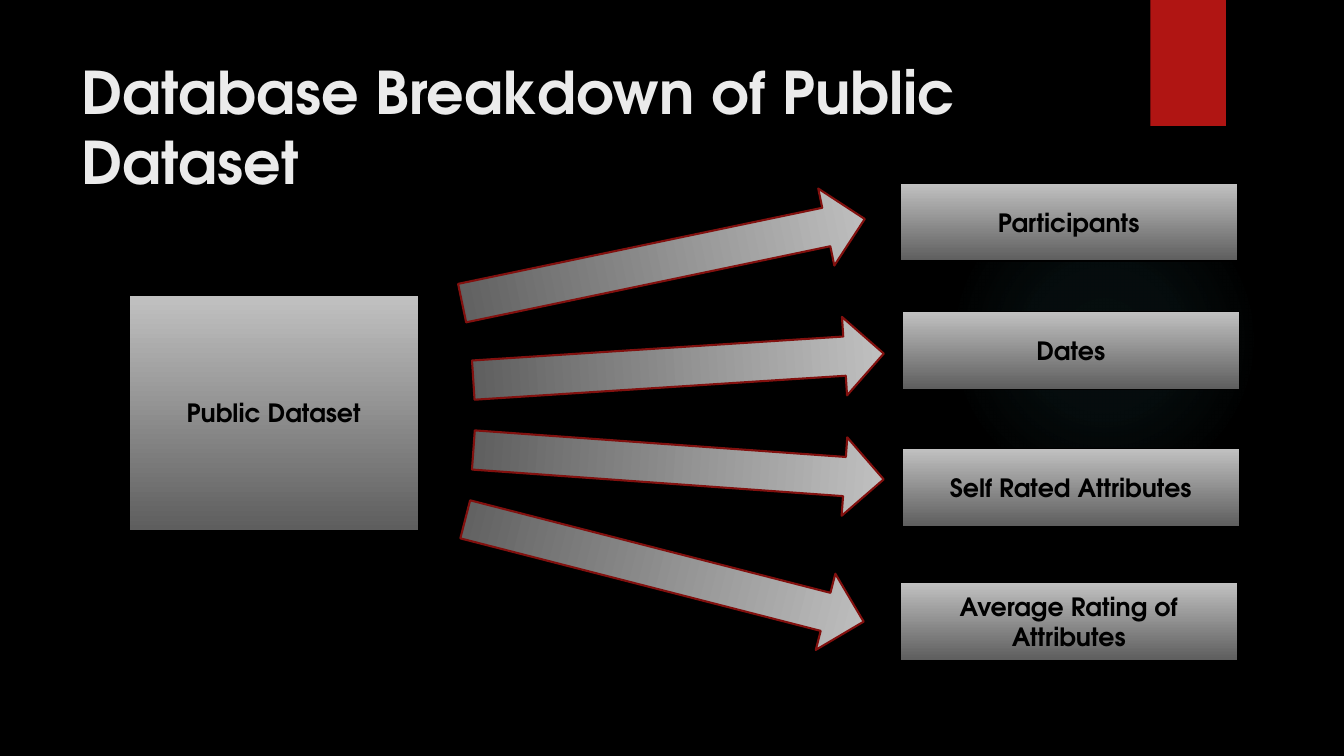
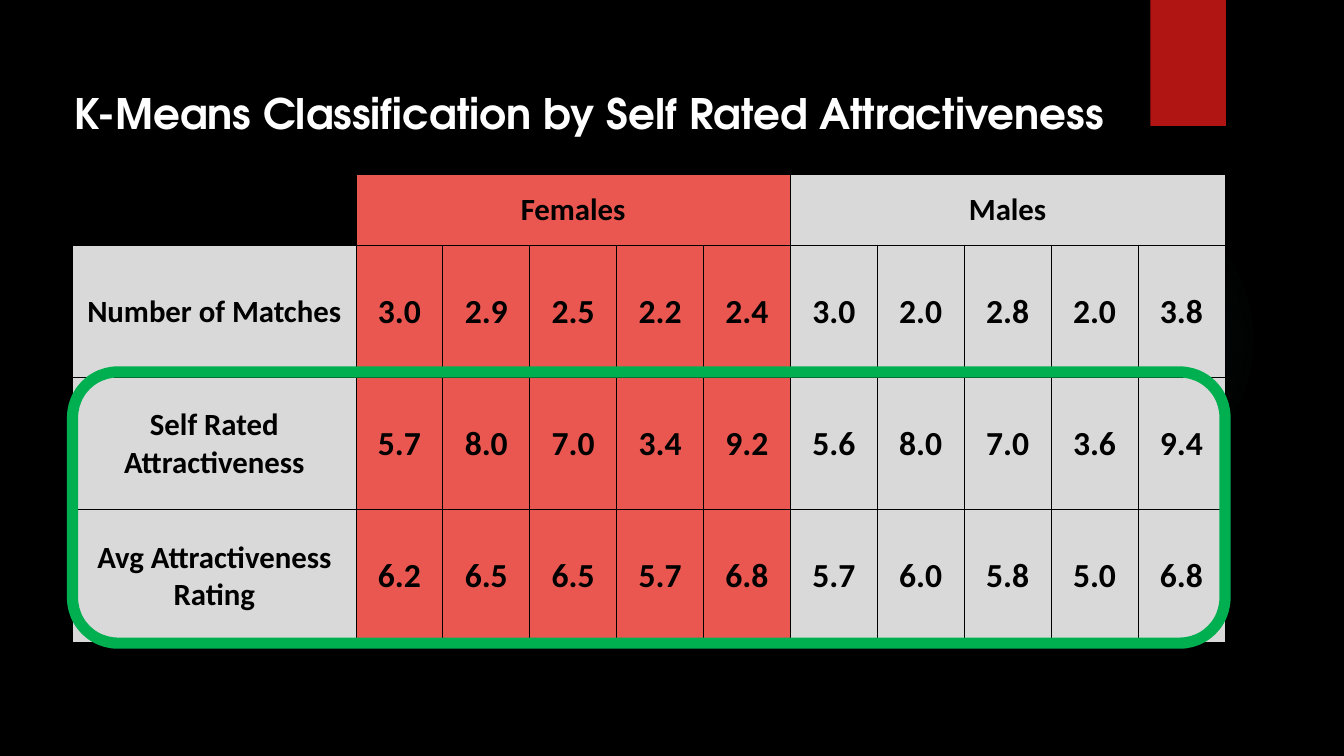
from lxml import etree
from pptx import Presentation
from pptx.dml.color import RGBColor
from pptx.enum.shapes import MSO_SHAPE as Shape
from pptx.enum.text import MSO_ANCHOR as Anchor, MSO_AUTO_SIZE as AutoSize, PP_ALIGN as Align
from pptx.oxml import parse_xml
from pptx.oxml.ns import nsdecls, qn
from pptx.util import Inches, Pt

COLORS = {
    "black": "000000", "white": "FFFFFF", "title": "EBEBEB", "band": "B01513",
    "glow": "50B9C1", "silver": "C1C1C1", "slate": "5E5E5E", "arrow_edge": "82100E",
    "female": "EA5750", "male": "D9D9D9", "highlight": "00B050",
}
HEADING_FONT, TABLE_FONT = "TeX Gyre Adventor", "Calibri"

BRANCHES = [  # label, box left and top, arrow left and top, arrow rotation
    ("Participants", 8.93, 1.82, 4.54, 2.2, -11.8),
    ("Dates", 8.95, 3.09, 4.69, 3.25, -3.7),
    ("Self Rated Attributes", 8.95, 4.45, 4.69, 4.22, 4.1),
    ("Average Rating of Attributes", 8.93, 5.78, 4.55, 5.27, 14.4),
]
GROUPS = [("Females", "female"), ("Males", "male")]
CLUSTERS = 5
RATINGS = [
    ("Number of Matches", "3.0 2.9 2.5 2.2 2.4 3.0 2.0 2.8 2.0 3.8"),
    ("Self Rated Attractiveness", "5.7 8.0 7.0 3.4 9.2 5.6 8.0 7.0 3.6 9.4"),
    ("Avg Attractiveness Rating", "6.2 6.5 6.5 5.7 6.8 5.7 6.0 5.8 5.0 6.8"),
]


def rgb(name):
    return RGBColor.from_string(COLORS[name])


def style_text(frame, size, color="black", font=HEADING_FONT, align=Align.CENTER):
    for paragraph in frame.paragraphs:
        paragraph.alignment = align
        for run in paragraph.runs:
            run.font.size, run.font.bold, run.font.name = Pt(size), True, font
            run.font.color.rgb = rgb(color)


def add_figure(slide, kind, box, edge=None, weight=0.75):
    figure = slide.shapes.add_shape(kind, *map(Inches, box))
    figure.shadow.inherit = False
    if edge:
        figure.line.color.rgb = rgb(edge)
        figure.line.width = Pt(weight)
    else:
        figure.line.fill.background()
    return figure


def shade(figure, angle):
    """Fill from silver to slate; the angle runs counter-clockwise."""
    figure.fill.gradient()
    figure.fill.gradient_angle = angle
    for stop, color in zip(figure.fill.gradient_stops, ("silver", "slate")):
        stop.color.rgb = rgb(color)


def add_label_box(slide, text, box):
    label_box = add_figure(slide, Shape.RECTANGLE, box, "black")
    shade(label_box, 270)
    frame = label_box.text_frame
    frame.text = text
    frame.word_wrap = True
    frame.vertical_anchor = Anchor.MIDDLE
    style_text(frame, 18)


def add_arrow(slide, left, top, rotation):
    arrow = add_figure(slide, Shape.RIGHT_ARROW, (left, top, 4.08, 0.78), "arrow_edge", 1.5)
    shade(arrow, 180)
    arrow.rotation = rotation


def add_glow(slide):
    glow = add_figure(slide, Shape.OVAL, (9.41, 1.83, 3.08, 3.08))
    glow.fill.background()
    stops = "".join(
        f'<a:gs pos="{position * 1000}"><a:srgbClr val="{COLORS["glow"]}">'
        f'<a:alpha val="{alpha * 1000}"/></a:srgbClr></a:gs>'
        for position, alpha in ((0, 7), (36, 6), (69, 0)))
    gradient = parse_xml(
        f'<a:gradFill {nsdecls("a")}><a:gsLst>{stops}</a:gsLst><a:path path="circle">'
        '<a:fillToRect l="50000" t="50000" r="50000" b="50000"/></a:path></a:gradFill>')
    properties = glow.element.spPr
    properties.replace(properties.find(qn("a:noFill")), gradient)


def add_titled_slide(deck, text, box, size, color):
    slide = deck.slides.add_slide(deck.slide_layouts[5])
    add_glow(slide)
    band = add_figure(slide, Shape.RECTANGLE, (11.41, 0, 0.75, 1.25))
    band.fill.solid()
    band.fill.fore_color.rgb = rgb("band")
    title = slide.shapes.title
    title.left, title.top, title.width, title.height = map(Inches, box)
    frame = title.text_frame
    frame.text = text
    frame.word_wrap = True
    frame.auto_size = AutoSize.NONE
    frame.vertical_anchor = Anchor.TOP
    style_text(frame, size, color, align=Align.LEFT)
    return slide


def add_borders(cell):
    properties = cell._tc.get_or_add_tcPr()
    for index, side in enumerate("LRTB"):
        border = etree.Element(qn(f"a:ln{side}"), w=str(Pt(0.5)))
        fill = etree.SubElement(border, qn("a:solidFill"))
        etree.SubElement(fill, qn("a:srgbClr"), val=COLORS["black"])
        properties.insert(index, border)


def fill_cell(cell, text, size, color):
    cell.text = text
    cell.vertical_anchor = Anchor.MIDDLE
    cell.margin_left = cell.margin_right = cell.margin_top = Inches(0.01)
    cell.margin_bottom = 0
    cell.fill.solid()
    cell.fill.fore_color.rgb = rgb(color)
    style_text(cell.text_frame, size, font=TABLE_FONT)


def add_ratings_table(slide):
    columns = 1 + CLUSTERS * len(GROUPS)
    box = map(Inches, (0.72, 1.73, 11.43, 4.64))
    table = slide.shapes.add_table(1 + len(RATINGS), columns, *box).table
    table.first_row = table.horz_banding = False
    for index, column in enumerate(table.columns):
        column.width = Inches((11.43 - 2.81) / (columns - 1) if index else 2.81)
    for index, row in enumerate(table.rows):
        row.height = Inches((4.64 - 0.7) / len(RATINGS) if index else 0.7)

    table.cell(0, 0).fill.background()
    for index, (group, color) in enumerate(GROUPS):
        first = 1 + index * CLUSTERS
        table.cell(0, first).merge(table.cell(0, first + CLUSTERS - 1))
        fill_cell(table.cell(0, first), group, 22, color)
    for row, (measure, values) in enumerate(RATINGS, 1):
        fill_cell(table.cell(row, 0), measure, 22, "male")
        for column, value in enumerate(values.split()):
            fill_cell(table.cell(row, column + 1), value, 24, GROUPS[column // CLUSTERS][1])
    for cell in table.iter_cells():
        add_borders(cell)


def add_breakdown_slide(deck):
    slide = add_titled_slide(deck, "Database Breakdown of Public Dataset",
                             (0.71, 0.5, 10.29, 1.45), 42, "title")
    add_label_box(slide, "Public Dataset", (1.28, 2.93, 2.87, 2.33))
    for label, box_left, box_top, arrow_left, arrow_top, rotation in BRANCHES:
        add_arrow(slide, arrow_left, arrow_top, rotation)
        add_label_box(slide, label, (box_left, box_top, 3.34, 0.77))


def add_classification_slide(deck):
    slide = add_titled_slide(deck, "K-Means Classification by Self Rated Attractiveness",
                             (0.64, 0.82, 10.49, 0.61), 30, "white")
    add_ratings_table(slide)
    highlight = add_figure(slide, Shape.ROUNDED_RECTANGLE, (0.72, 3.69, 11.43, 2.69),
                           "highlight", 8)
    highlight.fill.background()


def main():
    deck = Presentation()
    deck.slide_width, deck.slide_height = Inches(13.33), Inches(7.5)
    background = deck.slide_master.background.fill
    background.solid()
    background.fore_color.rgb = rgb("black")
    add_breakdown_slide(deck)
    add_classification_slide(deck)
    deck.save("out.pptx")


if __name__ == "__main__":
    main()
